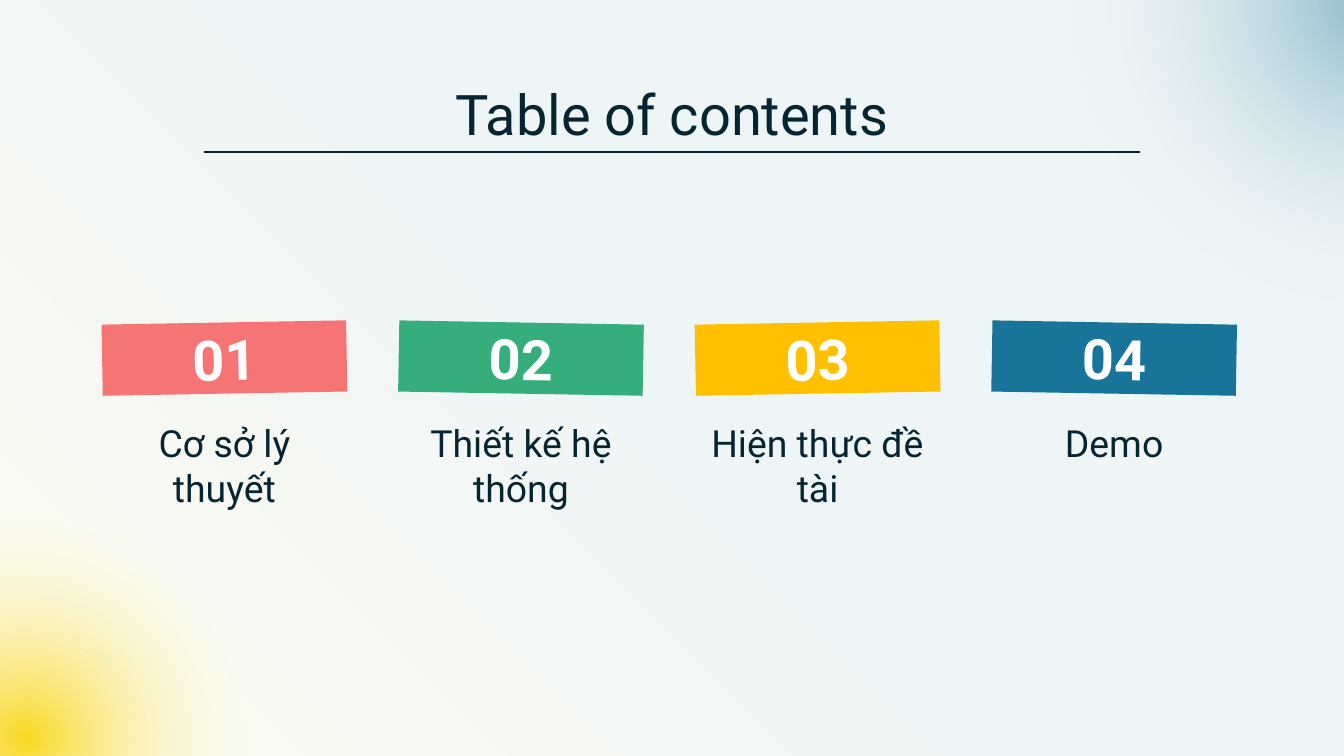
from typing import NamedTuple

from lxml.etree import SubElement
from pptx import Presentation
from pptx.dml.color import RGBColor
from pptx.enum.shapes import MSO_CONNECTOR, MSO_SHAPE as Preset
from pptx.enum.text import MSO_ANCHOR as Anchor, MSO_AUTO_SIZE, PP_ALIGN
from pptx.oxml import parse_xml
from pptx.oxml.ns import nsdecls, qn
from pptx.util import Inches, Pt

WIDTH = 10
HEIGHT = WIDTH * 9 / 16
FONT = "Roboto"
INK, WHITE, BLUE, YELLOW = "062531", "FFFFFF", "187498", "F9D923"

# Equal columns, spread between the first and the last centre
FIRST_CENTRE, LAST_CENTRE = 1.67, 8.29
BANNER_TOP, BANNER_WIDTH, BANNER_HEIGHT = 2.4, 1.82, 0.53
CAPTION_TOP, CAPTION_WIDTH, CAPTION_HEIGHT = 3.13, 1.79, 0.67


class Stop(NamedTuple):
    position: int
    colour: str
    opacity: int


class Glow(NamedTuple):
    left: float
    top: float
    diameter: float
    colour: str
    opacity: int


class Section(NamedTuple):
    caption: str
    colour: str


GLOWS = [
    Glow(-2.39, 2.91, 5.15, YELLOW, 100),
    Glow(6.76, -3.48, 6.96, BLUE, 47),
]
SECTIONS = [
    Section("Cơ sở lý thuyết", "F57474"),
    Section("Thiết kế hệ thống", "36AE7C"),
    Section("Hiện thực đề tài", "FFC000"),
    Section("Demo", BLUE),
]
COLUMN_STEP = (LAST_CENTRE - FIRST_CENTRE) / (len(SECTIONS) - 1)


def rgb(colour: str) -> RGBColor:
    return RGBColor.from_string(colour)


def box(left: float, top: float, width: float, height: float) -> tuple:
    return Inches(left), Inches(top), Inches(width), Inches(height)


def write(shape, text: str, *, size: float, colour: str = INK,
          bold: bool = False, anchor=Anchor.TOP) -> None:
    frame = shape.text_frame
    frame.margin_left = frame.margin_right = 0
    frame.margin_top = frame.margin_bottom = 0
    frame.auto_size = MSO_AUTO_SIZE.NONE
    frame.word_wrap = True
    frame.vertical_anchor = anchor
    frame.text = text
    paragraph = frame.paragraphs[0]
    paragraph.alignment = PP_ALIGN.CENTER
    font = paragraph.runs[0].font
    font.name, font.size, font.bold = FONT, Pt(size), bold
    font.color.rgb = rgb(colour)


def add_plain_shape(slide, preset, *bounds: float):
    shape = slide.shapes.add_shape(preset, *box(*bounds))
    shape.shadow.inherit = False
    shape.line.fill.background()
    return shape


def fill_gradient(shape, stops: list[Stop], direction: str) -> None:
    """Fill with translucent stops; direction is an a:lin or a:path element."""
    stop_xml = "".join(
        f'<a:gs pos="{stop.position * 1000}"><a:srgbClr val="{stop.colour}">'
        f'<a:alpha val="{stop.opacity * 1000}"/></a:srgbClr></a:gs>'
        for stop in stops)
    gradient = parse_xml(
        f'<a:gradFill {nsdecls("a")} rotWithShape="1">'
        f'<a:gsLst>{stop_xml}</a:gsLst>{direction}</a:gradFill>')
    shape.element.spPr.find(qn("a:prstGeom")).addnext(gradient)


def add_backdrop(slide) -> None:
    bleed = 0.04
    wash = add_plain_shape(slide, Preset.RECTANGLE, -bleed, -bleed,
                           WIDTH + 2 * bleed, HEIGHT + 2 * bleed)
    fill_gradient(wash, [Stop(0, BLUE, 7), Stop(50, BLUE, 7), Stop(100, YELLOW, 7)],
                  f'<a:lin ang="{135 * 60000}" scaled="0"/>')
    for glow in GLOWS:
        disc = add_plain_shape(slide, Preset.OVAL, glow.left, glow.top,
                               glow.diameter, glow.diameter)
        fill_gradient(
            disc,
            [Stop(0, glow.colour, glow.opacity), Stop(50, WHITE, 0), Stop(100, WHITE, 0)],
            '<a:path path="circle"><a:fillToRect l="50000" t="50000" '
            'r="50000" b="50000"/></a:path>')


def add_heading(slide) -> None:
    title = slide.shapes.title
    title.left, title.top, title.width, title.height = box(
        0.08 * WIDTH, 0.59, 0.84 * WIDTH, 0.51)
    write(title, "Table of contents", size=30)
    # Bring the title in front of the backdrop
    slide.shapes.element.append(title.element)

    inset, y = 1.52, Inches(1.13)
    rule = slide.shapes.add_connector(
        MSO_CONNECTOR.STRAIGHT, Inches(inset), y, Inches(WIDTH - inset), y)
    rule.line.color.rgb = rgb(INK)
    rule.line.width = Pt(0.75)
    SubElement(rule.element.spPr, qn("a:effectLst"))


def add_section(slide, column: int, section: Section) -> None:
    centre = FIRST_CENTRE + column * COLUMN_STEP
    banner = add_plain_shape(slide, Preset.RECTANGLE, centre - BANNER_WIDTH / 2,
                             BANNER_TOP, BANNER_WIDTH, BANNER_HEIGHT)
    banner.rotation = 1 if column % 2 else 359
    banner.fill.solid()
    banner.fill.fore_color.rgb = rgb(section.colour)
    write(banner, f"{column + 1:02}", size=30, colour=WHITE, bold=True,
          anchor=Anchor.MIDDLE)

    caption = slide.shapes.add_textbox(*box(
        centre - CAPTION_WIDTH / 2, CAPTION_TOP, CAPTION_WIDTH, CAPTION_HEIGHT))
    write(caption, section.caption, size=20)


def main() -> None:
    deck = Presentation()
    deck.slide_width, deck.slide_height = Inches(WIDTH), Inches(HEIGHT)
    slide = deck.slides.add_slide(deck.slide_layouts[5])
    add_backdrop(slide)
    add_heading(slide)
    for column, section in enumerate(SECTIONS):
        add_section(slide, column, section)
    deck.save("out.pptx")


if __name__ == "__main__":
    main()
